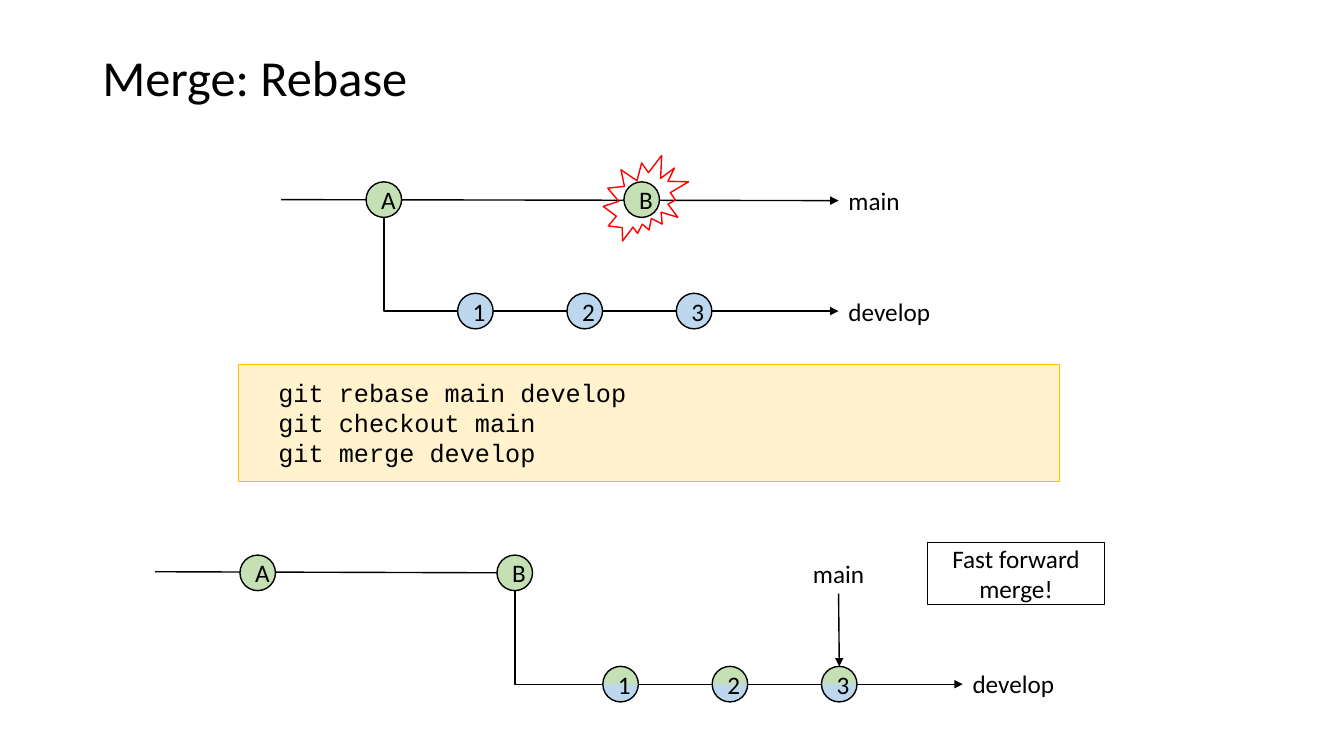
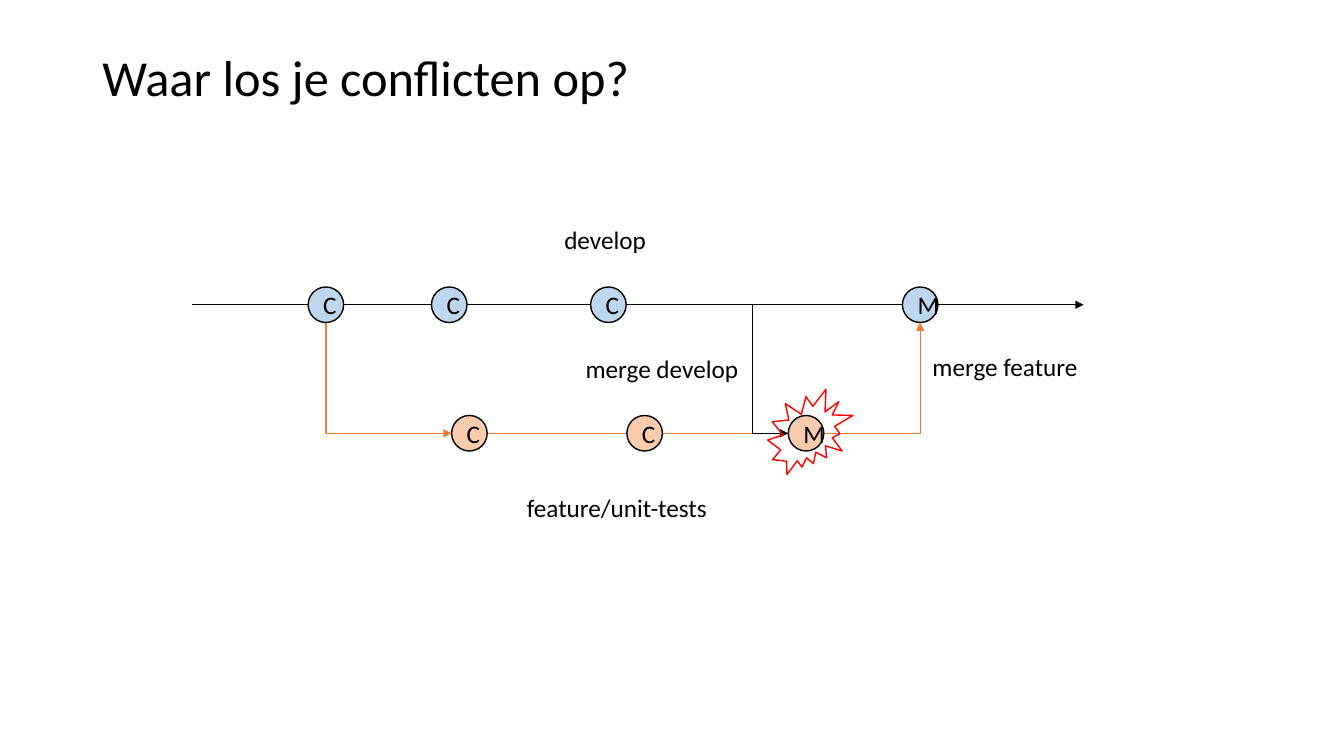
from dataclasses import dataclass
from enum import Enum
from typing import Optional

from lxml.etree import SubElement
from pptx import Presentation
from pptx.dml.color import RGBColor
from pptx.enum.shapes import MSO_CONNECTOR, MSO_SHAPE
from pptx.enum.text import MSO_ANCHOR, PP_ALIGN
from pptx.oxml.ns import qn
from pptx.shapes.autoshape import Shape
from pptx.slide import Slide
from pptx.util import Pt


@dataclass(frozen=True)
class Theme:
    ink: str = "000000"
    paper: str = "FFFFFF"
    green: str = "C5E0B4"
    blue: str = "BDD7EE"
    peach: str = "F8CBAD"
    orange: str = "ED7D31"
    red: str = "FF0000"
    cream: str = "FFF2CC"
    gold: str = "FFC000"
    font: str = "Calibri"
    mono: str = "Courier New"
    title: int = 36
    body: int = 18
    line: float = 1
    thin: float = 0.5


THEME = Theme()
SIZE = 25.4
HALF = SIZE / 2
BURST = 61
STEP = 78.1


class Bend(Enum):
    NONE = "straight"
    DOWN = "down, then across"
    SIDE = "across, then up"
    STEP = "across, down, across"


@dataclass(frozen=True)
class Dot:
    """A commit, placed by its centre; two fills make a gradient."""
    text: str
    x: float
    y: float
    fills: tuple[str, ...]
    burst: bool = False


@dataclass(frozen=True)
class Wire:
    x1: float
    y1: float
    x2: float
    y2: float
    bend: Bend = Bend.NONE
    color: str = THEME.ink
    arrow: bool = True
    turn: float = 0.5


@dataclass(frozen=True)
class Label:
    text: str
    x: float
    y: float
    width: float
    align: PP_ALIGN = PP_ALIGN.LEFT


@dataclass(frozen=True)
class Box:
    lines: tuple[str, ...]
    x: float
    y: float
    width: float
    height: float
    fill: str
    edge: str
    weight: float = THEME.line
    font: str = THEME.font
    align: PP_ALIGN = PP_ALIGN.CENTER
    inset: Optional[tuple[float, float]] = None


def rgb(color: str) -> RGBColor:
    return RGBColor.from_string(color)


def write(shape: Shape, lines: tuple[str, ...], align: PP_ALIGN,
          size: int = THEME.body, font: str = THEME.font) -> None:
    frame = shape.text_frame
    frame.word_wrap = True
    for i, line in enumerate(lines):
        para = frame.add_paragraph() if i else frame.paragraphs[0]
        para.alignment = align
        run = para.add_run()
        run.text = line
        run.font.name = font
        run.font.size = Pt(size)
        run.font.color.rgb = rgb(THEME.ink)


def add_form(slide: Slide, kind: MSO_SHAPE, x: float, y: float, width: float,
             height: float, fills: tuple[str, ...], edge: str,
             weight: float = THEME.line) -> Shape:
    shape = slide.shapes.add_shape(kind, Pt(x), Pt(y), Pt(width), Pt(height))
    shape.shadow.inherit = False
    shape.line.color.rgb = rgb(edge)
    shape.line.width = Pt(weight)
    if len(fills) == 2:
        shape.fill.gradient()
        shape.fill.gradient_angle = 270
        for stop, color, place in zip(shape.fill.gradient_stops, fills, (0.4, 0.6)):
            stop.color.rgb = rgb(color)
            stop.position = place
    elif fills:
        shape.fill.solid()
        shape.fill.fore_color.rgb = rgb(fills[0])
    else:
        shape.fill.background()
    return shape


def add_dot(slide: Slide, dot: Dot) -> None:
    shape = add_form(slide, MSO_SHAPE.OVAL, dot.x - HALF, dot.y - HALF,
                     SIZE, SIZE, dot.fills, THEME.ink)
    write(shape, (dot.text,), PP_ALIGN.CENTER)
    if dot.burst:
        add_form(slide, MSO_SHAPE.EXPLOSION2, dot.x + 3 - BURST / 2,
                 dot.y - 1 - BURST / 2, BURST, BURST, (), THEME.red)


def add_wire(slide: Slide, wire: Wire) -> None:
    x1, y1, x2, y2 = wire.x1, wire.y1, wire.x2, wire.y2
    if wire.bend is Bend.DOWN:
        # A quarter turn swaps width and height around the same centre.
        midx, midy = (x1 + x2) / 2, (y1 + y2) / 2
        wide, high = (y2 - y1) / 2, (x2 - x1) / 2
        x1, y1, x2, y2 = midx - wide, midy - high, midx + wide, midy + high
    kind = MSO_CONNECTOR.STRAIGHT if wire.bend is Bend.NONE else MSO_CONNECTOR.ELBOW
    line = slide.shapes.add_connector(kind, Pt(x1), Pt(y1), Pt(x2), Pt(y2))
    line.line.color.rgb = rgb(wire.color)
    line.line.width = Pt(THEME.line)
    props = line.element.spPr
    geom = props.find(qn("a:prstGeom"))
    if wire.bend in (Bend.DOWN, Bend.SIDE):
        geom.set("prst", "bentConnector2")
    if wire.bend is Bend.DOWN:
        frame = props.find(qn("a:xfrm"))
        frame.set("rot", "16200000")
        frame.set("flipH", "1")
    if wire.bend is Bend.STEP:
        guide = SubElement(geom.find(qn("a:avLst")), qn("a:gd"))
        guide.set("name", "adj1")
        guide.set("fmla", f"val {round(wire.turn * 100000)}")
    if wire.arrow:
        SubElement(props.find(qn("a:ln")), qn("a:tailEnd")).set("type", "triangle")
    SubElement(props, qn("a:effectLst"))


def add_label(slide: Slide, label: Label) -> None:
    shape = slide.shapes.add_textbox(Pt(label.x), Pt(label.y), Pt(label.width), Pt(29))
    write(shape, (label.text,), label.align)


def add_box(slide: Slide, box: Box) -> None:
    shape = add_form(slide, MSO_SHAPE.RECTANGLE, box.x, box.y, box.width,
                     box.height, (box.fill,), box.edge, box.weight)
    write(shape, box.lines, box.align, font=box.font)
    if box.inset:
        frame = shape.text_frame
        frame.margin_left = frame.margin_right = Pt(box.inset[0])
        frame.margin_top = frame.margin_bottom = Pt(box.inset[1])


def add_page(deck: Presentation, title: str, wires: list[Wire], dots: list[Dot],
             labels: list[Label], boxes: list[Box]) -> None:
    slide = deck.slides.add_slide(deck.slide_layouts[6])
    head = slide.shapes.add_textbox(Pt(66), Pt(29), Pt(828), Pt(57))
    write(head, (title,), PP_ALIGN.LEFT, THEME.title)
    head.text_frame.vertical_anchor = MSO_ANCHOR.MIDDLE
    head.text_frame.paragraphs[0].line_spacing = 0.9
    for draw, items in ((add_wire, wires), (add_dot, dots),
                        (add_label, labels), (add_box, boxes)):
        for item in items:
            draw(slide, item)


def add_row(names: str, x: float, y: float, fills: tuple[str, ...]) -> list[Dot]:
    return [Dot(name, x + i * STEP, y, fills) for i, name in enumerate(names)]


def add_rebase(deck: Presentation) -> None:
    green, blue = (THEME.green,), (THEME.blue,)
    main, dev, base, tip = 142.6, 222.2, 409.2, 488.7
    wires = [
        Wire(200.9, main, 599, 143.3),
        Wire(274.2, main + HALF, 599, dev, Bend.DOWN),
        Wire(110.9, 408.4, 367.7, base),
        Wire(367.7, base + HALF, 687.6, tip, Bend.DOWN),
        Wire(599, 424, 599.5, tip - HALF),
    ]
    dots = [
        Dot("A", 274.2, main, green), Dot("B", 458.4, main, green, True),
        *add_row("123", 339.6, dev, blue),
        Dot("A", 184.1, base, green), Dot("B", 367.7, base, green),
        *add_row("123", 443.3, tip, green + blue),
    ]
    labels = [
        Label("main", 599, 129, 78), Label("develop", 599, 208, 158),
        Label("main", 560, 395.3, 78, PP_ALIGN.CENTER),
        Label("develop", 687.6, 474, 158),
    ]
    boxes = [
        Box(("Fast forward merge!",), 662.4, 387.4, 126.7, 44.6, THEME.paper, THEME.ink),
        Box(("git rebase main develop", "git checkout main", "git merge develop"),
            170.5, 260.2, 586.2, 83.3, THEME.cream, THEME.gold, THEME.thin,
            THEME.mono, PP_ALIGN.LEFT, (28.35, 5.67)),
    ]
    add_page(deck, "Merge: Rebase", wires, dots, labels, boxes)


def add_clash(deck: Presentation) -> None:
    blue, peach = (THEME.blue,), (THEME.peach,)
    dev, feat = 217.7, 309.5
    fork, first, last, merge, join = 232.8, 335.3, 460.5, 575.8, 657.3
    wires = [
        Wire(137.5, dev, 774, dev),
        Wire(fork, dev + HALF, first - HALF, feat, Bend.DOWN, THEME.orange),
        *(Wire(a + HALF, feat, b - HALF, feat, color=THEME.orange, arrow=False)
          for a, b in ((first, last), (last, merge))),
        Wire(merge + HALF, feat, join, dev + HALF, Bend.SIDE, THEME.orange),
        Wire(447.2, dev, merge - HALF, feat, Bend.STEP, turn=0.78),
    ]
    dots = [
        *(Dot("C", x, dev, blue) for x in (fork, 320.9, 434.6)),
        Dot("M", join, dev, blue),
        *(Dot("C", x, feat, peach) for x in (first, last)),
        Dot("M", merge, feat, peach, True),
    ]
    labels = [
        Label("develop", 396, 157, 75), Label("feature/unit-tests", 369.3, 348, 158),
        Label("merge develop", 411.2, 249, 127), Label("merge feature", 659, 247.3, 122),
    ]
    add_page(deck, "Waar los je conflicten op?", wires, dots, labels, [])


def main() -> None:
    deck = Presentation()
    deck.slide_width, deck.slide_height = Pt(960), Pt(540)
    add_rebase(deck)
    add_clash(deck)
    deck.save("out.pptx")


if __name__ == "__main__":
    main()
